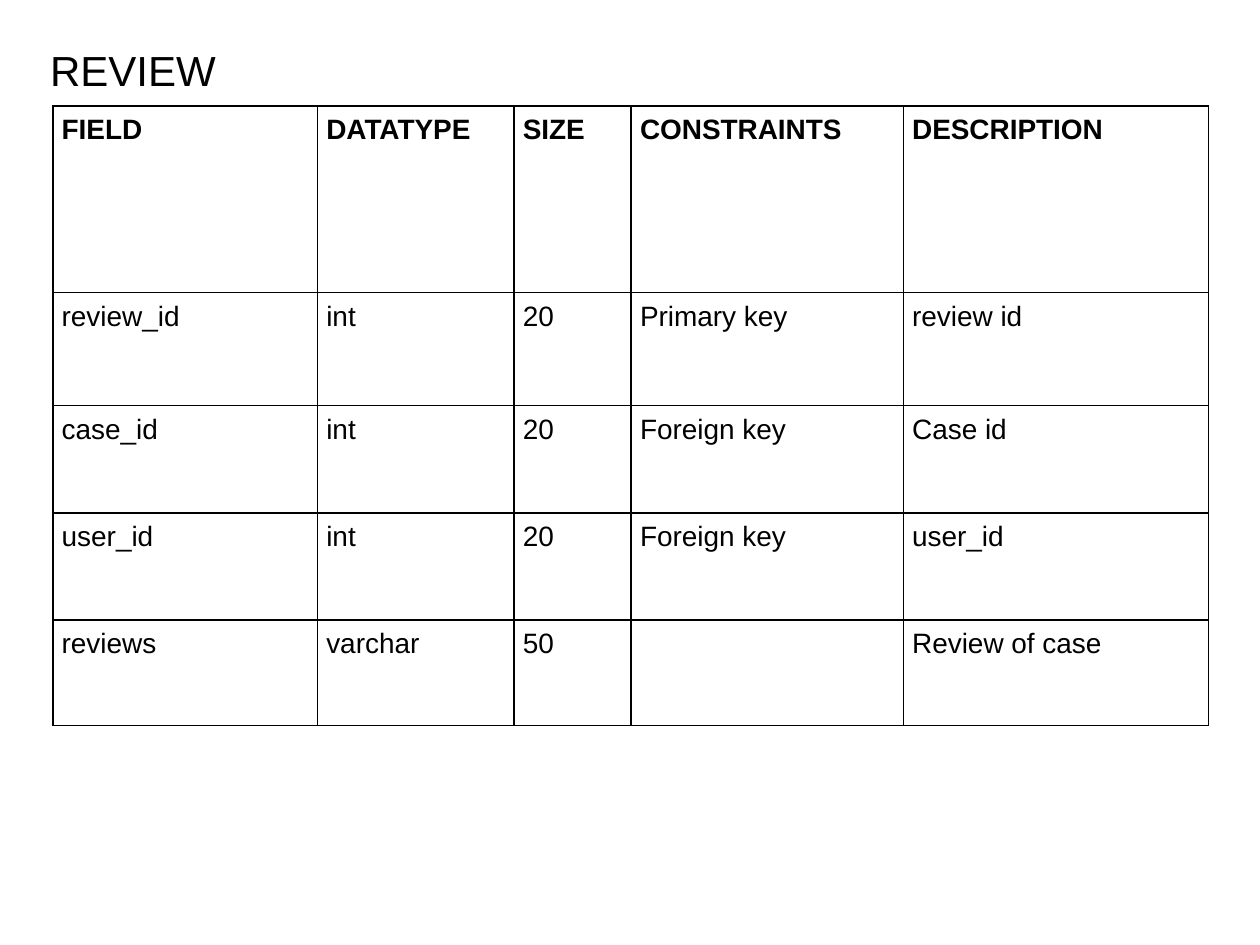
from dataclasses import dataclass

from lxml import etree
from pptx import Presentation
from pptx.dml.color import RGBColor
from pptx.enum import text
from pptx.oxml.ns import qn
from pptx.util import Inches, Pt


@dataclass(frozen=True)
class Theme:
    font: str = "Arial"
    ink: str = "000000"
    paper: str = "FFFFFF"
    title_size: int = 24
    cell_size: int = 16
    border_width: int = 1


theme = Theme()


def style_text(text_frame, size, bold=False):
    for paragraph in text_frame.paragraphs:
        for run in paragraph.runs:
            run.font.name = theme.font
            run.font.size = Pt(size)
            run.font.bold = bold
            run.font.color.rgb = RGBColor.from_string(theme.ink)


def add_borders(cell):
    properties = cell._tc.get_or_add_tcPr()
    for position, side in enumerate(("a:lnL", "a:lnR", "a:lnT", "a:lnB")):
        line = etree.Element(qn(side), w=str(Pt(theme.border_width)))
        fill = etree.SubElement(line, qn("a:solidFill"))
        etree.SubElement(fill, qn("a:srgbClr"), val=theme.ink)
        properties.insert(position, line)


presentation = Presentation()
presentation.slide_width = Inches(10)
presentation.slide_height = Inches(7.5)
slide = presentation.slides.add_slide(presentation.slide_layouts[6])
slide.background.fill.solid()
slide.background.fill.fore_color.rgb = RGBColor.from_string(theme.paper)

# Data dictionary table
rows = [
    ("FIELD", "DATATYPE", "SIZE", "CONSTRAINTS", "DESCRIPTION"),
    ("review_id", "int", "20", "Primary key", "review id"),
    ("case_id", "int", "20", "Foreign key", "Case id"),
    ("user_id", "int", "20", "Foreign key", "user_id"),
    ("reviews", "varchar", "50", "", "Review of case"),
]
column_widths = [2.1, 1.56, 0.93, 2.16, 2.42]
row_heights = [1.48, 0.9, 0.85, 0.85, 0.84]

table = slide.shapes.add_table(
    len(rows), len(column_widths), Inches(0.42), Inches(0.84),
    Inches(sum(column_widths)), Inches(sum(row_heights)),
).table
table.horz_banding = False
for column, width in zip(table.columns, column_widths):
    column.width = Inches(width)

for row_index, (row, height, values) in enumerate(zip(table.rows, row_heights, rows)):
    row.height = Inches(height)
    for cell, value in zip(row.cells, values):
        cell.margin_left = cell.margin_right = Inches(0.07)
        cell.margin_top = cell.margin_bottom = Inches(0.07)
        cell.fill.background()
        add_borders(cell)
        if value:
            cell.text_frame.text = value
            style_text(cell.text_frame, theme.cell_size, bold=row_index == 0)

# Title
title = slide.shapes.add_textbox(Inches(0.3), Inches(0.25), Inches(1.53), Inches(1.72))
title.text_frame.word_wrap = False
title.text_frame.vertical_anchor = text.MSO_ANCHOR.TOP
title.text_frame.margin_top = Inches(0.1)
title.text_frame.text = "REVIEW"
style_text(title.text_frame, theme.title_size)

presentation.save("out.pptx")
